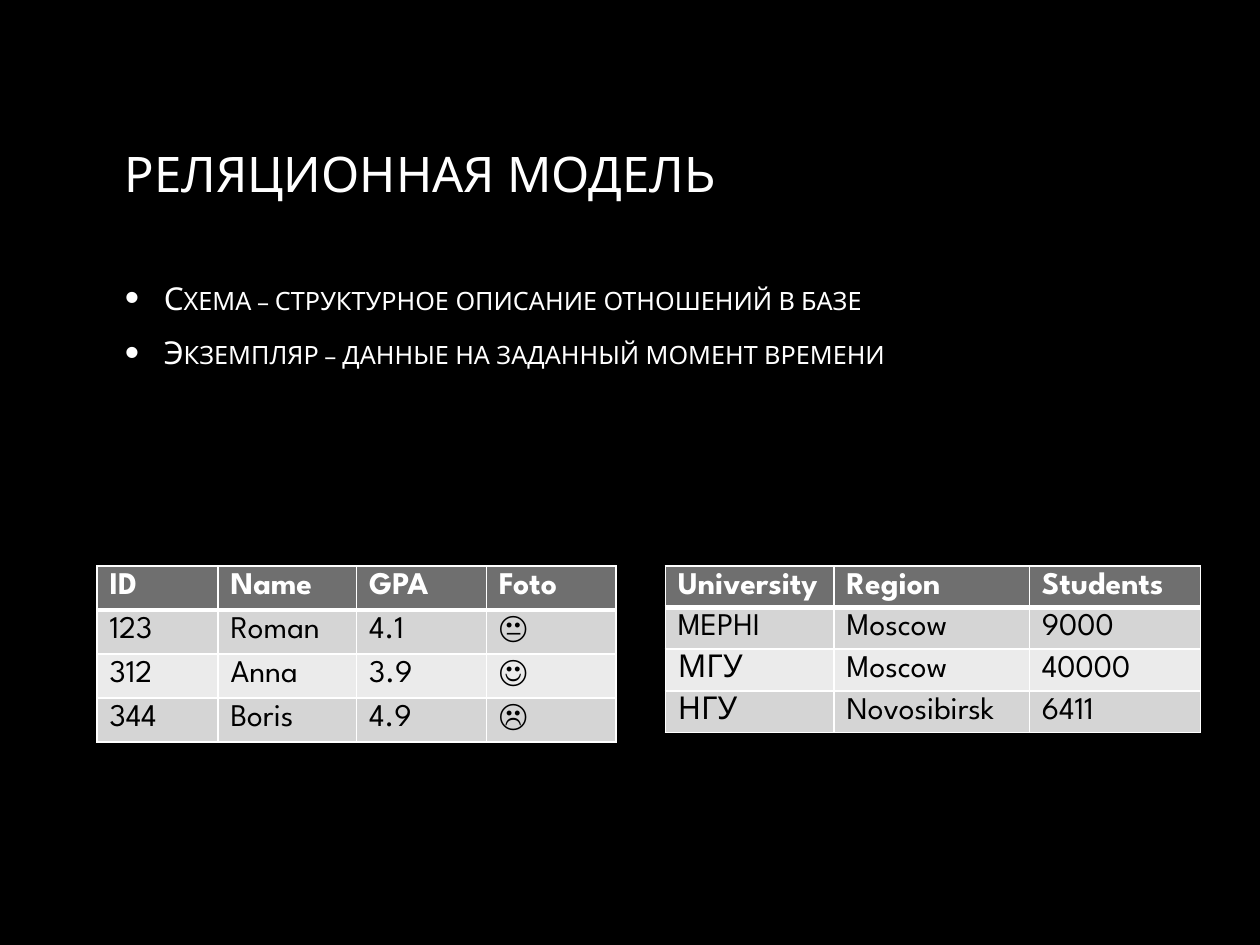
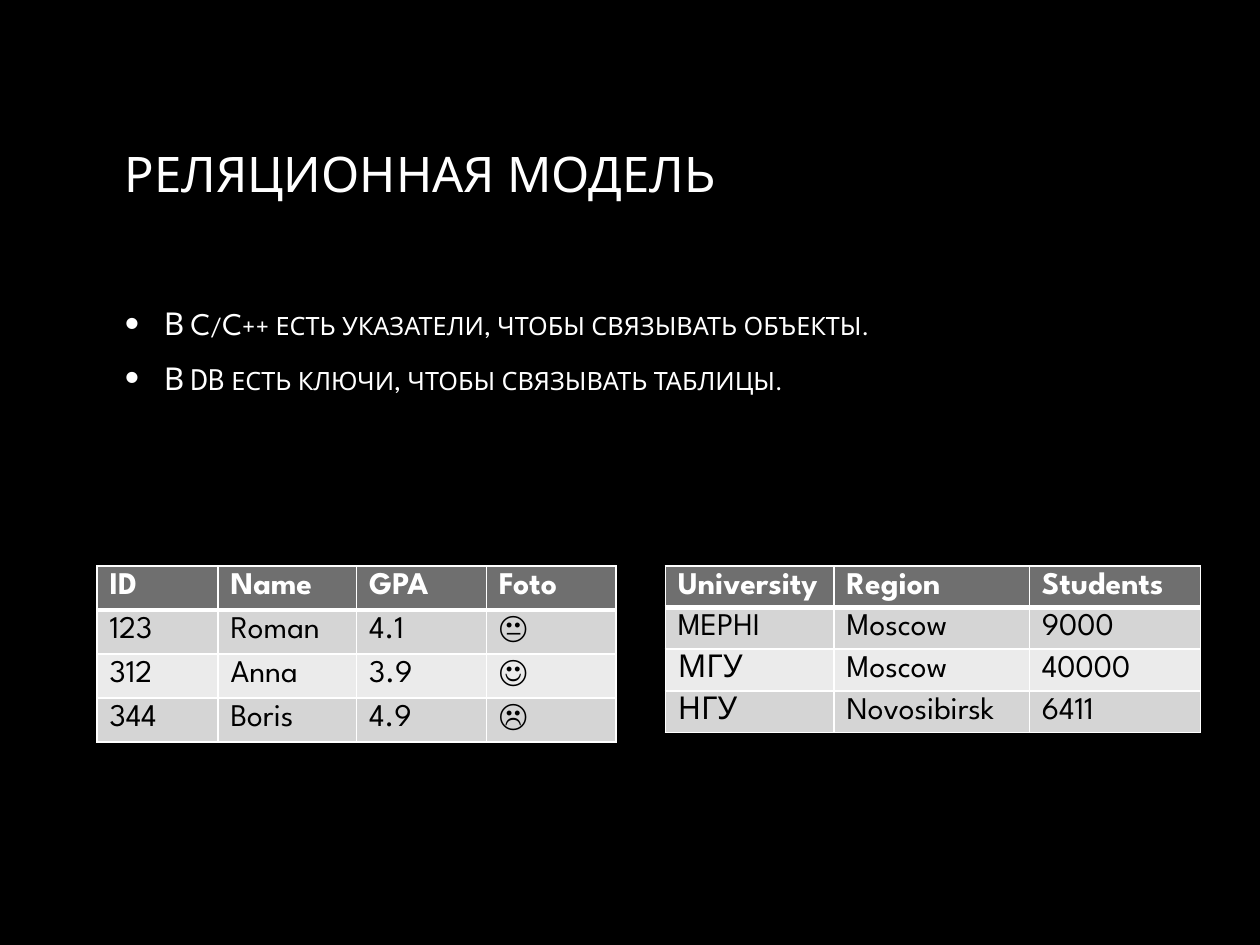
from pptx import Presentation, util as u
from pptx.dml.color import RGBColor
from pptx.enum import text
from pptx.oxml import parse_xml
from pptx.oxml.ns import nsdecls, qn

FONT = "League Spartan"
BLACK, WHITE, SILVER = "000000", "FFFFFF", "BFBFBF"
HEADER, ODD_ROW, EVEN_ROW = "6F6F6F", "D5D5D5", "EBEBEB"
TITLE_BOX = (0.89, 0.65, 8.21, 1.44)
LIST_BOX = (0.89, 1.91, 8.21, 1.74)
PEOPLE_BOX = (0.77, 4.49, 4.12, 1.6)
UNIVERSITY_BOX = (5.28, 4.49, 4.26, 1.6)

PEOPLE = [
    ("ID", "Name", "GPA", "Foto"),
    ("123", "Roman", "4.1", "😐"),
    ("312", "Anna", "3.9", "☺"),
    ("344", "Boris", "4.9", "☹"),
]
UNIVERSITIES = [
    ("University", "Region", "Students"),
    ("MEPHI", "Moscow", "9000"),
    ("МГУ", "Moscow", "40000"),
    ("НГУ", "Novosibirsk", "6411"),
]


def color(value):
    return RGBColor.from_string(value)


def inches(box):
    return [u.Inches(length) for length in box]


def place(placeholder, box):
    placeholder.left, placeholder.top, placeholder.width, placeholder.height = inches(box)
    frame = placeholder.text_frame
    frame.auto_size = text.MSO_AUTO_SIZE.NONE
    frame.vertical_anchor = text.MSO_ANCHOR.MIDDLE
    return frame


def style_gradient(paragraph, size):
    paragraph.alignment = text.PP_ALIGN.LEFT
    font = paragraph.font
    font.name, font.size = FONT, u.Pt(size)
    font.fill.gradient()
    font.fill.gradient_angle = 270
    for stop, shade in zip(font.fill.gradient_stops, (WHITE, SILVER)):
        stop.color.rgb = color(shade)


def add_title(slide, box, heading):
    frame = place(slide.shapes.title, box)
    frame.text = heading
    style_gradient(frame.paragraphs[0], 28)


def add_bullet(paragraph):
    properties = paragraph._p.get_or_add_pPr()
    properties.set("marL", str(u.Inches(0.31)))
    properties.set("indent", str(u.Inches(-0.31)))
    for bullet in (
        f'<a:buClr {nsdecls("a")}><a:srgbClr val="{WHITE}"/></a:buClr>',
        f'<a:buSzPct {nsdecls("a")} val="130000"/>',
        f'<a:buFont {nsdecls("a")} typeface="Arial"/>',
        f'<a:buChar {nsdecls("a")} char="•"/>',
    ):
        properties.append(parse_xml(bullet))


def add_list(slide, box, points, bottom_inset):
    frame = place(slide.placeholders[1], box)
    frame.margin_bottom = u.Inches(bottom_inset)
    frame.text = "\n".join(points)
    for paragraph in frame.paragraphs:
        paragraph.space_after = u.Pt(6)
        add_bullet(paragraph)
        style_gradient(paragraph, 18)
        paragraph._p.pPr.find(qn("a:defRPr")).set("cap", "small")


def add_borders(cell, bottom):
    properties = cell._tc.get_or_add_tcPr()
    for side, width in (("L", 1), ("R", 1), ("T", 1), ("B", bottom)):
        properties.append(parse_xml(
            f'<a:ln{side} {nsdecls("a")} w="{u.Pt(width)}"><a:solidFill>'
            f'<a:srgbClr val="{WHITE}"/></a:solidFill></a:ln{side}>'))


def add_relation(slide, box, records, widths, row_height):
    frame = slide.shapes.add_table(len(records), len(widths), *inches(box))
    relation = frame.table
    relation.first_row = relation.horz_banding = False
    for column, width in zip(relation.columns, widths):
        column.width = u.Inches(width)
    for index, (row, record) in enumerate(zip(relation.rows, records)):
        row.height = u.Inches(row_height)
        is_header = index == 0
        fill = HEADER if is_header else (EVEN_ROW, ODD_ROW)[index % 2]
        for cell, value in zip(row.cells, record):
            add_borders(cell, 3 if is_header else 1)
            cell.fill.solid()
            cell.fill.fore_color.rgb = color(fill)
            cell.text = value
            font = cell.text_frame.paragraphs[0].font
            font.name, font.size, font.bold = FONT, u.Pt(18), is_header
            font.color.rgb = color(WHITE if is_header else BLACK)
    frame.width, frame.height = inches(box[2:])


def add_model_slide(deck, points, bottom_inset=0.05):
    slide = deck.slides.add_slide(deck.slide_layouts[1])
    add_title(slide, TITLE_BOX, "РЕЛЯЦИОННАЯ МОДЕЛЬ")
    add_list(slide, LIST_BOX, points, bottom_inset)
    add_relation(slide, PEOPLE_BOX, PEOPLE, (0.96, 1.1, 1.03, 1.03), 0.35)
    add_relation(slide, UNIVERSITY_BOX, UNIVERSITIES, (1.34, 1.55, 1.36), 0.3)


deck = Presentation()
deck.slide_width, deck.slide_height = inches((10, 7.5))
backdrop = deck.slide_master.background.fill
backdrop.solid()
backdrop.fore_color.rgb = color(BLACK)

add_model_slide(deck, [
    "Схема – структурное описание отношений в базе",
    "Экземпляр – данные на заданный момент времени",
], bottom_inset=0.45)
add_model_slide(deck, [
    "В C/C++ есть указатели, чтобы связывать объекты.",
    "В DB есть ключи, чтобы связывать таблицы.",
])
deck.save("out.pptx")
